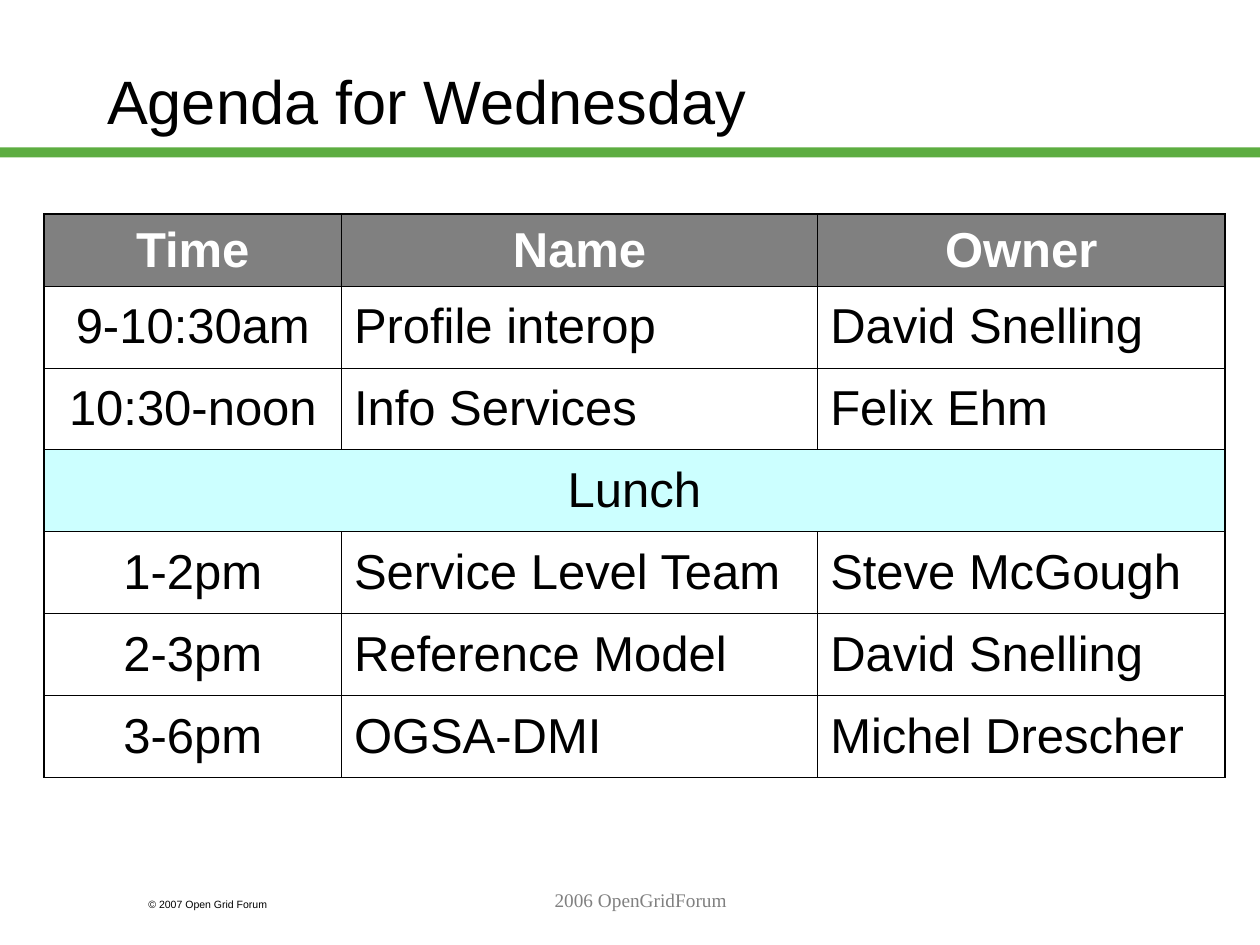
from lxml.etree import SubElement
from pptx import Presentation
from pptx.dml.color import RGBColor
from pptx.enum.shapes import MSO_SHAPE as Shape
from pptx.enum.text import MSO_ANCHOR as Anchor, PP_ALIGN as Align
from pptx.oxml.ns import qn
from pptx.util import Inches, Pt

BLACK, WHITE, GRAY = "000000", "FFFFFF", "808080"
GREEN, PALE_BLUE = "5DAD41", "CCFFFF"
OUTER_LINE, INNER_LINE = Pt(1.08), Pt(0.45)

COLUMN_WIDTHS = [2.36, 3.78, 3.23]
HEADER_HEIGHT, ROW_HEIGHT = 0.57, 0.65
AGENDA = [
    ("Time", "Name", "Owner"),
    ("9-10:30am", "Profile interop", "David Snelling"),
    ("10:30-noon", "Info Services", "Felix Ehm"),
    ("Lunch",),
    ("1-2pm", "Service Level Team", "Steve McGough"),
    ("2-3pm", "Reference Model", "David Snelling"),
    ("3-6pm", "OGSA-DMI", "Michel Drescher"),
]


def color(hex_value):
    return RGBColor.from_string(hex_value)


def set_text(text_frame, text, size, hex_value=BLACK, font="Arial", align=Align.LEFT, bold=False):
    text_frame.word_wrap = True
    text_frame.text = text
    paragraph = text_frame.paragraphs[0]
    paragraph.alignment = align
    run_font = paragraph.runs[0].font
    run_font.name, run_font.size, run_font.bold = font, Pt(size), bold
    run_font.color.rgb = color(hex_value)


def add_title(slide, text):
    title = slide.shapes.title
    title.left, title.top = Inches(0.75), Inches(0.17)
    title.width, title.height = Inches(8.5), Inches(1.25)
    title.text_frame.vertical_anchor = Anchor.MIDDLE
    set_text(title.text_frame, text, 35)


def add_title_rule(slide):
    rule = slide.shapes.add_shape(Shape.RECTANGLE, 0, Inches(1.17), Inches(10), Inches(0.08))
    rule.shadow.inherit = False
    rule.fill.solid()
    rule.fill.fore_color.rgb = color(GREEN)
    rule.line.fill.background()


def add_label(slide, left, top, width, height, text, size, **style):
    box = slide.shapes.add_textbox(Inches(left), Inches(top), Inches(width), Inches(height))
    set_text(box.text_frame, text, size, **style)


def set_borders(cell, widths):
    """Draw black borders; widths are in the order left, right, top, bottom."""
    properties = cell._tc.get_or_add_tcPr()
    for index, (side, width) in enumerate(zip("LRTB", widths)):
        line = SubElement(properties, qn(f"a:ln{side}"), w=str(int(width)))
        fill = SubElement(line, qn("a:solidFill"))
        SubElement(fill, qn("a:srgbClr"), val=BLACK)
        properties.insert(index, line)


def fill_cell(cell, fill):
    if fill:
        cell.fill.solid()
        cell.fill.fore_color.rgb = color(fill)
    else:
        cell.fill.background()


def add_agenda_table(slide):
    row_count, column_count = len(AGENDA), len(COLUMN_WIDTHS)
    heights = [HEADER_HEIGHT] + [ROW_HEIGHT] * (row_count - 1)
    table = slide.shapes.add_table(
        row_count, column_count, Inches(0.35), Inches(1.7),
        Inches(sum(COLUMN_WIDTHS)), Inches(sum(heights))).table
    table.first_row = table.horz_banding = False
    for column, width in zip(table.columns, COLUMN_WIDTHS):
        column.width = Inches(width)
    for row, height in zip(table.rows, heights):
        row.height = Inches(height)

    for row_index, texts in enumerate(AGENDA):
        header, full_width = row_index == 0, len(texts) == 1
        if full_width:
            table.cell(row_index, 0).merge(table.cell(row_index, column_count - 1))
        for column_index, text in enumerate(texts):
            cell = table.cell(row_index, column_index)
            cell.vertical_anchor = Anchor.MIDDLE
            fill_cell(cell, GRAY if header else PALE_BLUE if full_width else None)
            set_text(cell.text_frame, text, 28, WHITE if header else BLACK, bold=header,
                     align=Align.CENTER if header or column_index == 0 else Align.LEFT)
            on_edge = (column_index == 0, column_index == len(texts) - 1,
                       header, row_index == row_count - 1)
            set_borders(cell, [OUTER_LINE if edge else INNER_LINE for edge in on_edge])


def main():
    presentation = Presentation()
    presentation.slide_width, presentation.slide_height = Inches(10), Inches(7.5)
    slide = presentation.slides.add_slide(presentation.slide_layouts[5])
    add_title_rule(slide)
    add_label(slide, 1.08, 7.08, 1.5, 0.2, "© 2007 Open Grid Forum", 6)
    add_title(slide, "Agenda for Wednesday")
    add_agenda_table(slide)
    add_label(slide, 2.17, 7, 5.83, 0.5, "2006 OpenGridForum", 11,
              hex_value=GRAY, font="Times New Roman", align=Align.CENTER)
    presentation.save("out.pptx")


if __name__ == "__main__":
    main()
